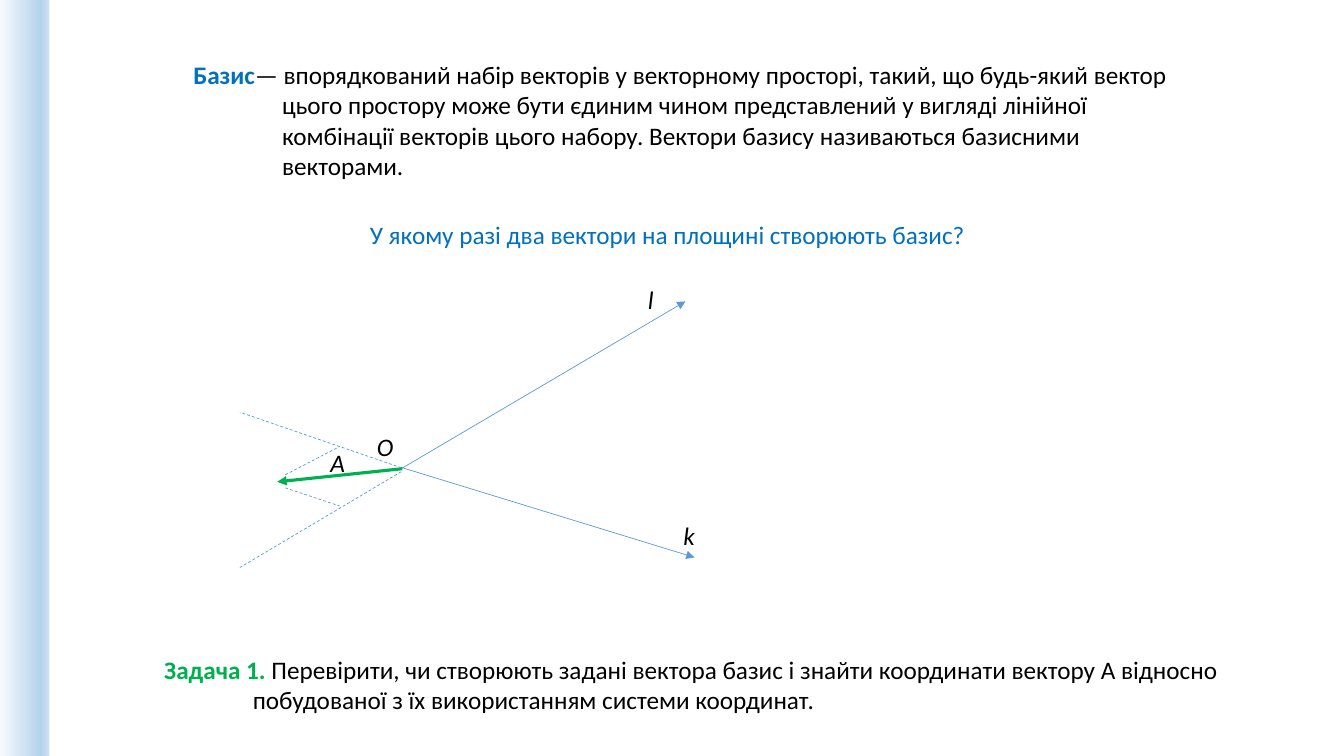
from copy import deepcopy
from dataclasses import dataclass
from typing import Optional

from pptx import Presentation
from pptx.dml.color import RGBColor
from pptx.enum.dml import MSO_LINE
from pptx.enum.shapes import MSO_CONNECTOR, MSO_SHAPE
from pptx.enum.text import MSO_AUTO_SIZE
from pptx.oxml.ns import qn
from pptx.slide import Slide
from pptx.util import Inches, Length, Pt
from lxml.etree import SubElement

BLUE = RGBColor(0x00, 0x70, 0xC0)
GREEN = RGBColor(0x00, 0xB0, 0x50)
BLACK = RGBColor(0x00, 0x00, 0x00)
AXIS = RGBColor(0x5B, 0x9B, 0xD5)
BAND_STOPS = (
    (0, RGBColor(0xF7, 0xFA, 0xFD)),
    (0.83, RGBColor(0xB5, 0xD2, 0xEC)),
    (1, RGBColor(0xCE, 0xE1, 0xF2)),
)

FONT = "Calibri"
TEXT_SIZE = Pt(18)
CELL = Inches(0.1)
COLUMNS, ROWS = 133.33, 75
HANGING = 8.8


@dataclass(frozen=True)
class Span:
    text: str
    color: RGBColor = BLACK
    bold: bool = False
    italic: bool = False


@dataclass(frozen=True)
class TextBlock:
    column: float
    row: float
    columns: float
    rows: float
    spans: tuple[Span, ...]
    hanging: float = 0


@dataclass(frozen=True)
class Segment:
    start: tuple[float, float]
    end: tuple[float, float]
    color: RGBColor = AXIS
    weight: float = 0.5
    arrow: bool = False
    dashed: bool = False


def label(letter: str, column: float, row: float, columns: float = 3.5) -> TextBlock:
    return TextBlock(column, row, columns, 4, (Span(letter, italic=True),))


QUESTION = TextBlock(
    35.7, 21.3, 85.8, 4,
    (Span("У якому разі два вектори на площині створюють базис?", BLUE),),
)
DEFINITION = TextBlock(
    18.2, 5.4, 100.7, 13.1,
    (
        Span("Базис", BLUE, bold=True),
        Span(
            "— впорядкований набір векторів у векторному просторі, такий, що "
            "будь-який вектор цього простору може бути єдиним чином представлений "
            "у вигляді лінійної комбінації векторів цього набору. Вектори базису "
            "називаються базисними векторами."
        ),
    ),
    HANGING,
)
TASK = TextBlock(
    15.3, 64.4, 109.9, 7.1,
    (
        Span("Задача 1.", GREEN, bold=True),
        Span(
            " Перевірити, чи створюють задані вектора базис і знайти координати "
            "вектору А відносно побудованої з їх використанням системи координат."
        ),
    ),
    HANGING,
)
LABELS = (
    label("k", 66.8, 51.1),
    label("l", 63.3, 27.7),
    label("O", 36.4, 42.3),
    label("A", 31.8, 43.9, 4.8),
)
SEGMENTS = (
    Segment((39.8, 46.5), (68, 29.9), arrow=True),
    Segment((39.9, 46.4), (68.9, 55.3), arrow=True),
    Segment((39.9, 46.5), (27.5, 47.8), GREEN, 2.25, arrow=True),
    Segment((39.8, 46.4), (23.8, 40.9), dashed=True),
    Segment((39.8, 46.8), (23.8, 56.3), dashed=True),
    Segment((28.3, 47.1), (33.7, 44.3), dashed=True),
    Segment((28.3, 48.4), (33.7, 50.2), dashed=True),
)


def cells(count: float) -> Length:
    return Length(round(count * CELL))


def add_span(para, text: str, *, color: Optional[RGBColor] = None,
             bold: bool = False, italic: bool = False) -> None:
    run = para.add_run()
    run.text = text
    run.font.name = FONT
    run.font.size = TEXT_SIZE
    run.font.bold = bold
    run.font.italic = italic
    run.font.color.rgb = color or BLACK


def add_text(page: Slide, block: TextBlock) -> None:
    box = page.shapes.add_textbox(
        cells(block.column), cells(block.row), cells(block.columns), cells(block.rows)
    )
    frame = box.text_frame
    frame.word_wrap = True
    frame.auto_size = MSO_AUTO_SIZE.SHAPE_TO_FIT_TEXT
    para = frame.paragraphs[0]
    if block.hanging:
        properties = para._p.get_or_add_pPr()
        properties.set("marL", str(cells(block.hanging)))
        properties.set("indent", str(-cells(block.hanging)))
    for span in block.spans:
        add_span(para, span.text, color=span.color, bold=span.bold, italic=span.italic)


def add_segment(page: Slide, segment: Segment) -> None:
    connector = page.shapes.add_connector(
        MSO_CONNECTOR.STRAIGHT, *map(cells, segment.start + segment.end)
    )
    line = connector.line
    line.color.rgb = segment.color
    line.width = Pt(segment.weight)
    if segment.dashed:
        line.dash_style = MSO_LINE.DASH
    if segment.arrow:
        SubElement(line._get_or_add_ln(), qn("a:tailEnd"), type="triangle")
    SubElement(connector._element.spPr, qn("a:effectLst"))


def add_band(page: Slide) -> None:
    band = page.shapes.add_shape(MSO_SHAPE.RECTANGLE, 0, 0, cells(4.9), cells(ROWS))
    band.shadow.inherit = False
    band.line.fill.background()
    band.fill.gradient()
    band.fill.gradient_angle = 0
    stop_list = band._element.spPr.find(".//" + qn("a:gsLst"))
    stop_list.append(deepcopy(stop_list[-1]))
    for stop, (position, color) in zip(band.fill.gradient_stops, BAND_STOPS):
        stop.position = position
        stop.color.rgb = color


def main() -> None:
    deck = Presentation()
    deck.slide_width = cells(COLUMNS)
    deck.slide_height = cells(ROWS)
    page = deck.slides.add_slide(deck.slide_layouts.get_by_name("Blank"))
    add_band(page)
    for block in (QUESTION, DEFINITION, *LABELS, TASK):
        add_text(page, block)
    for segment in SEGMENTS:
        add_segment(page, segment)
    deck.save("out.pptx")


if __name__ == "__main__":
    main()
